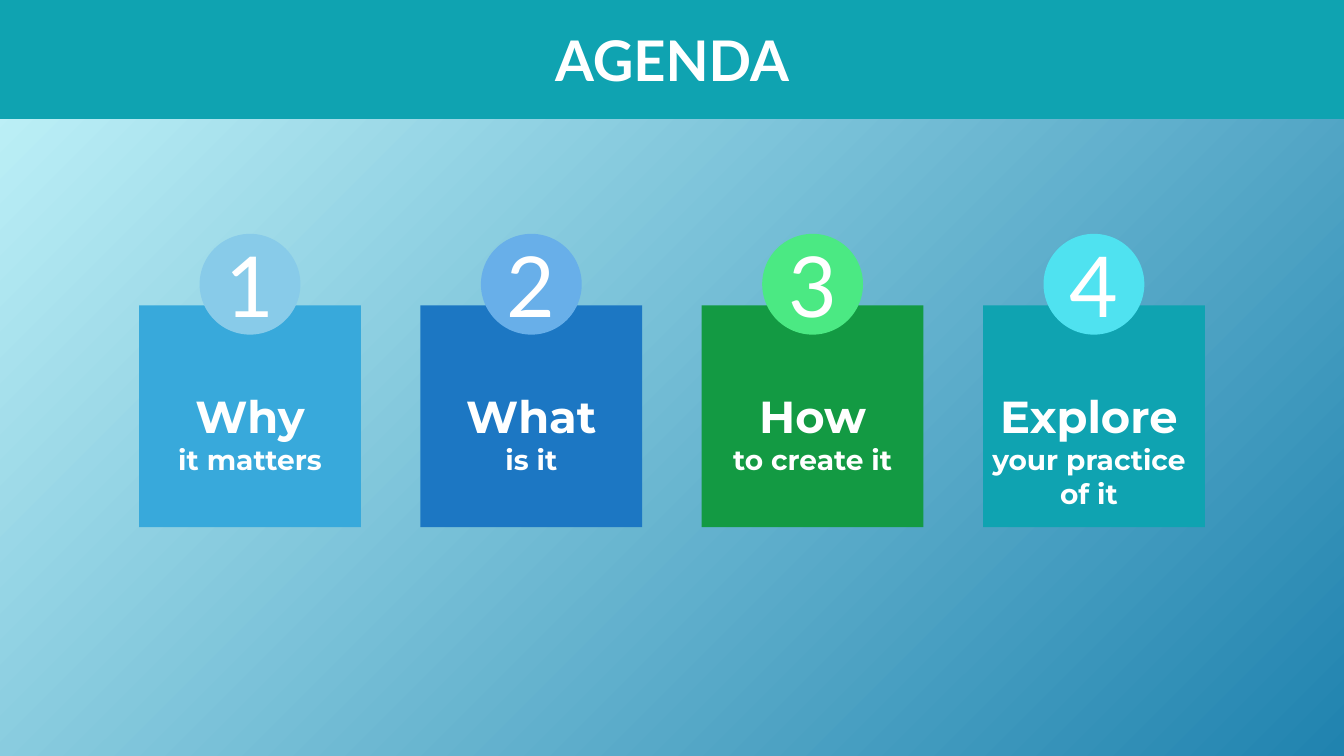
from dataclasses import dataclass

import pptx
import pptx.dml.color
import pptx.enum.shapes
import pptx.enum.text
import pptx.util

Inches = pptx.util.Inches
SHAPES = pptx.enum.shapes.MSO_SHAPE


@dataclass(frozen=True)
class Theme:
    heading_font: str = "Lato"
    body_font: str = "Montserrat"
    white: str = "FFFFFF"
    teal: str = "0FA3B1"
    sky: str = "38A9DB"
    blue: str = "1C77C3"
    green: str = "139A43"
    pale_sky: str = "88CBE9"
    pale_blue: str = "68AFE9"
    pale_green: str = "4BE983"
    pale_teal: str = "4FE2F0"
    backdrop: tuple = ("C4F5FA", "2083AF")
    title_size: int = 40
    number_size: int = 60
    keyword_size: int = 32
    detail_size: int = 20


THEME = Theme()
CARD_LEFT, CARD_TOP, CARD_SIDE, CARD_PITCH = 1.38, 3.03, 2.2, 2.79
BADGE_TOP, BADGE_SIDE = 2.32, 1
NUMBER_TOP, NUMBER_WIDTH, NUMBER_HEIGHT = 2.27, 1.13, 1.11
LABEL_TOP, LABEL_WIDTH = 3.81, 2.79

AGENDA = [
    ("Why", ["it matters"], THEME.sky, THEME.pale_sky, 0.98, 0),
    ("What", ["is it"], THEME.blue, THEME.pale_blue, 0.98, 0),
    ("How", ["to create it"], THEME.green, THEME.pale_green, 0.98, 0),
    ("Explore", ["your practice", "of it"], THEME.teal, THEME.pale_teal, 1.31, -0.05),
]


def rgb(value):
    return pptx.dml.color.RGBColor.from_string(value)


def write_text(paragraph, text, *, size, font, color=THEME.white, bold=False):
    paragraph.alignment = pptx.enum.text.PP_ALIGN.CENTER
    run = paragraph.add_run()
    run.text = text
    run.font.size = pptx.util.Pt(size)
    run.font.name = font
    run.font.bold = bold
    run.font.color.rgb = rgb(color)


def prepare_frame(frame):
    frame.word_wrap = True
    frame.auto_size = pptx.enum.text.MSO_AUTO_SIZE.SHAPE_TO_FIT_TEXT
    frame.vertical_anchor = pptx.enum.text.MSO_ANCHOR.TOP
    return frame


def add_block(shapes, kind, left, top, width, height, color):
    block = shapes.add_shape(
        kind, Inches(left), Inches(top), Inches(width), Inches(height)
    )
    block.shadow.inherit = False
    block.fill.solid()
    block.fill.fore_color.rgb = rgb(color)
    block.line.fill.background()
    return block


def add_text_area(shapes, left, top, width, height):
    area = shapes.add_textbox(
        Inches(left), Inches(top), Inches(width), Inches(height)
    )
    return prepare_frame(area.text_frame)


def paint_background(slide):
    fill = slide.background.fill
    fill.gradient()
    fill.gradient_angle = 315
    for stop, color, position in zip(fill.gradient_stops, THEME.backdrop, (0, 1)):
        stop.color.rgb = rgb(color)
        stop.position = position


def add_header(slide, text):
    title = slide.shapes.title
    title.left, title.top = Inches(4.09), Inches(0.2)
    title.width, title.height = Inches(5.15), Inches(0.77)
    frame = prepare_frame(title.text_frame)
    write_text(frame.paragraphs[0], text, size=THEME.title_size,
               font=THEME.heading_font, bold=True)
    band = add_block(slide.shapes, SHAPES.RECTANGLE, 0, -0.02, 13.33, 1.2, THEME.teal)
    title.element.addprevious(band.element)


def add_card(slide, index, keyword, details, color, badge_color, label_height, label_shift):
    shapes = slide.shapes.add_group_shape().shapes
    left = CARD_LEFT + index * CARD_PITCH
    center = left + CARD_SIDE / 2
    add_block(shapes, SHAPES.RECTANGLE, left, CARD_TOP, CARD_SIDE, CARD_SIDE, color)
    add_block(shapes, SHAPES.OVAL, center - BADGE_SIDE / 2, BADGE_TOP,
              BADGE_SIDE, BADGE_SIDE, badge_color)
    number = add_text_area(shapes, center - NUMBER_WIDTH / 2, NUMBER_TOP,
                           NUMBER_WIDTH, NUMBER_HEIGHT)
    write_text(number.paragraphs[0], str(index + 1), size=THEME.number_size,
               font=THEME.heading_font)
    label = add_text_area(shapes, center - LABEL_WIDTH / 2 + label_shift, LABEL_TOP,
                          LABEL_WIDTH, label_height)
    write_text(label.paragraphs[0], keyword, size=THEME.keyword_size,
               font=THEME.body_font, bold=True)
    for detail in details:
        write_text(label.add_paragraph(), detail, size=THEME.detail_size,
                   font=THEME.body_font, bold=True)


def main():
    deck = pptx.Presentation()
    deck.slide_width, deck.slide_height = Inches(13.33), Inches(7.5)
    slide = deck.slides.add_slide(deck.slide_layouts.get_by_name("Title Only"))
    paint_background(slide)
    add_header(slide, "AGENDA")
    for index, topic in enumerate(AGENDA):
        add_card(slide, index, *topic)
    deck.save("out.pptx")


if __name__ == "__main__":
    main()
